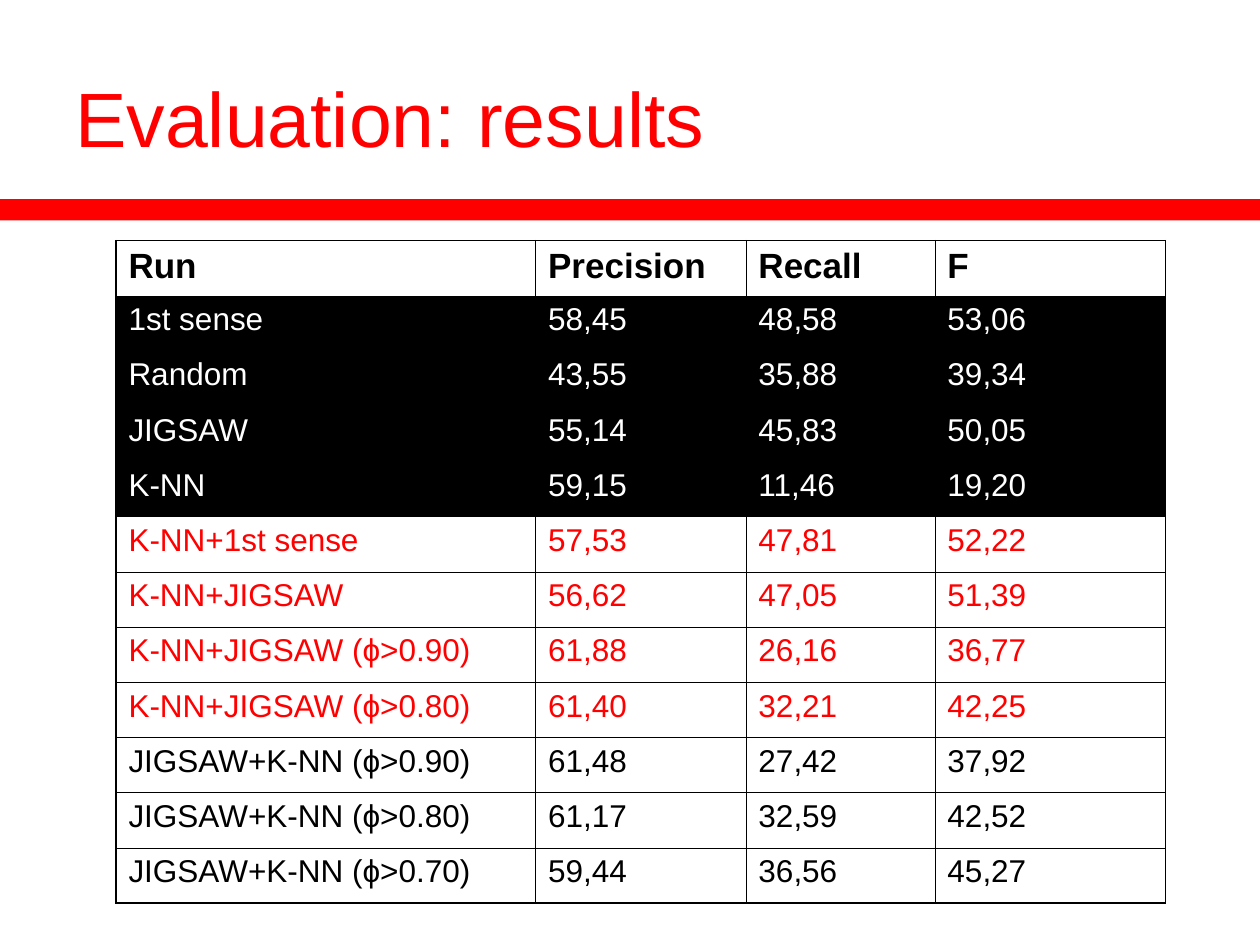
import pptx
import pptx.util
import pptx.dml.color
import pptx.enum.shapes
import pptx.enum.text
import pptx.oxml
import pptx.oxml.ns

RED, BLACK, WHITE = "FF0000", "000000", "FFFFFF"
FONT = "Arial"
TITLE = "Evaluation: results"
HEADER = ("Run", "Precision", "Recall", "F")
GROUPS = [
    (WHITE, BLACK, [
        ("1st sense", "58,45", "48,58", "53,06"),
        ("Random", "43,55", "35,88", "39,34"),
        ("JIGSAW", "55,14", "45,83", "50,05"),
        ("K-NN", "59,15", "11,46", "19,20"),
    ]),
    (RED, None, [
        ("K-NN+1st sense", "57,53", "47,81", "52,22"),
        ("K-NN+JIGSAW", "56,62", "47,05", "51,39"),
        ("K-NN+JIGSAW (ϕ>0.90)", "61,88", "26,16", "36,77"),
        ("K-NN+JIGSAW (ϕ>0.80)", "61,40", "32,21", "42,25"),
    ]),
    (BLACK, None, [
        ("JIGSAW+K-NN (ϕ>0.90)", "61,48", "27,42", "37,92"),
        ("JIGSAW+K-NN (ϕ>0.80)", "61,17", "32,59", "42,52"),
        ("JIGSAW+K-NN (ϕ>0.70)", "59,44", "36,56", "45,27"),
    ]),
]
COLUMNS = (3.33, 1.67, 1.5, 1.83)
TABLE_LEFT, TABLE_TOP, TABLE_HEIGHT = 0.92, 1.91, 5.26
OUTER, INNER = 1.08, 0.45

inch, pt = pptx.util.Inches, pptx.util.Pt


def rgb(color):
    return pptx.dml.color.RGBColor.from_string(color)


def write(tf, text, size, color, bold=False):
    tf.text = text
    font = tf.paragraphs[0].runs[0].font
    font.name, font.size, font.bold = FONT, pt(size), bold
    font.color.rgb = rgb(color)


def paint(fill, color):
    if color:
        fill.solid()
        fill.fore_color.rgb = rgb(color)
    else:
        fill.background()


def set_borders(cell, widths):
    tcPr = cell._tc.get_or_add_tcPr()
    for side, width in zip("LRTB", widths):
        tcPr.append(pptx.oxml.parse_xml(
            f'<a:ln{side} {pptx.oxml.ns.nsdecls("a")} w="{int(pt(width))}">'
            f'<a:solidFill><a:srgbClr val="{BLACK}"/></a:solidFill></a:ln{side}>'))


prs = pptx.Presentation()
prs.slide_width, prs.slide_height = inch(10), inch(7.5)
s = prs.slides.add_slide(prs.slide_layouts[6])

bar = s.shapes.add_shape(pptx.enum.shapes.MSO_SHAPE.RECTANGLE,
                         0, inch(1.58), prs.slide_width, inch(0.17))
bar.shadow.inherit = False
paint(bar.fill, RED)
bar.line.fill.background()

title = s.shapes.add_textbox(inch(0.5), inch(0.3), inch(9), inch(1.25))
tf = title.text_frame
tf.word_wrap = True
tf.vertical_anchor = pptx.enum.text.MSO_ANCHOR.MIDDLE
write(tf, TITLE, 44, RED)

rows = [(HEADER, 20, BLACK, None, True)]
rows += [(values, 18, color, fill, False)
         for color, fill, group in GROUPS for values in group]
last_row, last_col = len(rows) - 1, len(COLUMNS) - 1

table = s.shapes.add_table(len(rows), len(COLUMNS), inch(TABLE_LEFT), inch(TABLE_TOP),
                           inch(sum(COLUMNS)), inch(TABLE_HEIGHT)).table
table.first_row = table.horz_banding = False
for column, width in zip(table.columns, COLUMNS):
    column.width = inch(width)

for i, (values, size, color, fill, bold) in enumerate(rows):
    table.rows[i].height = inch(TABLE_HEIGHT / len(rows))
    for j, value in enumerate(values):
        cell = table.cell(i, j)
        edges = (j == 0, j == last_col, i == 0, i == last_row)
        set_borders(cell, [OUTER if edge else INNER for edge in edges])
        paint(cell.fill, fill)
        write(cell.text_frame, value, size, color, bold)

prs.save("out.pptx")
